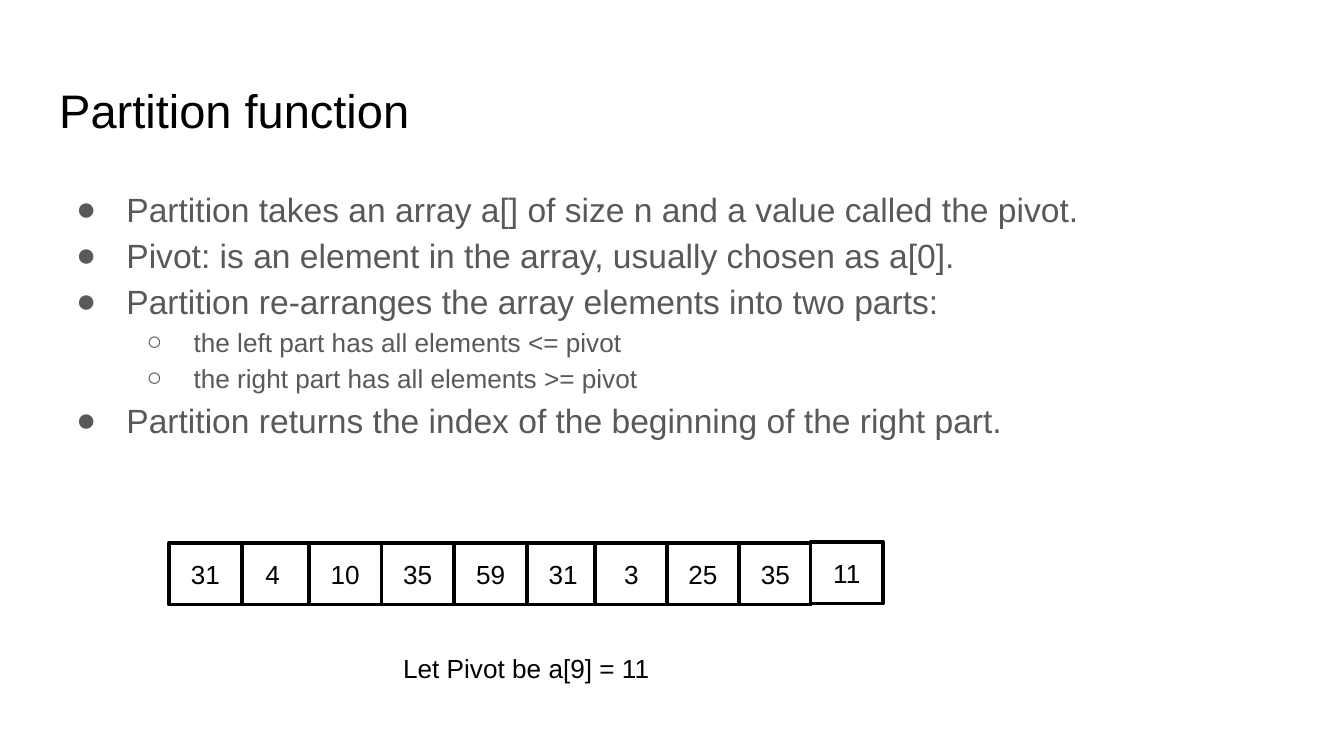
from dataclasses import dataclass

from lxml.etree import SubElement
from pptx import Presentation
from pptx.dml.color import RGBColor
from pptx.enum.shapes import MSO_SHAPE as Shape
from pptx.enum.text import MSO_ANCHOR as Anchor, PP_ALIGN as Align
from pptx.oxml.ns import qn
from pptx.util import Cm, Pt


@dataclass(frozen=True)
class Theme:
    font: str = "Arial"
    black: RGBColor = RGBColor(0, 0, 0)
    white: RGBColor = RGBColor(255, 255, 255)
    gray: RGBColor = RGBColor(0x59, 0x59, 0x59)
    title_size: float = 25.2
    body_size: float = 18
    small_size: float = 14
    line_width: float = 2


THEME = Theme()

BULLETS = [
    (0, "Partition takes an array a[] of size n and a value called the pivot."),
    (0, "Pivot: is an element in the array, usually chosen as a[0]."),
    (0, "Partition re-arranges the array elements into two parts:"),
    (1, "the left part has all elements <= pivot"),
    (1, "the right part has all elements >= pivot"),
    (0, "Partition returns the index of the beginning of the right part."),
]
# Bullet sign, left margin (cm), hanging indent (cm) and text size by level
LEVELS = [
    ("●", 1.27, 0.95, THEME.body_size),
    ("○", 2.54, 0.89, THEME.small_size),
]

CELL_WIDTH, CELL_HEIGHT = 1.37, 1.17
ARRAY_TOP, PIVOT_TOP = 10.26, 10.24
# Value and left edge (cm) of each array element
FIRST_CELL = ("31", 3.2)
INNER_CELLS = [
    ("4", 4.47), ("10", 5.84), ("35", 7.21), ("59", 8.59),
    ("31", 9.96), ("3", 11.25), ("25", 12.6), ("35", 13.97),
]
PIVOT_CELL = ("11", 15.32)


def style_runs(paragraph, size, color):
    for run in paragraph.runs:
        run.font.name = THEME.font
        run.font.size = Pt(size)
        run.font.color.rgb = color


def add_text_box(slide, left, top, width, height, wrap=True):
    box = slide.shapes.add_textbox(Cm(left), Cm(top), Cm(width), Cm(height))
    frame = box.text_frame
    frame.word_wrap = wrap
    frame.margin_left = frame.margin_right = Cm(0.25)
    frame.margin_top = frame.margin_bottom = Cm(0.25)
    return frame


def add_label(slide, text, size, *bounds, wrap=True):
    frame = add_text_box(slide, *bounds, wrap=wrap)
    frame.vertical_anchor = Anchor.MIDDLE
    frame.text = text
    style_runs(frame.paragraphs[0], size, THEME.black)


def set_bullet(paragraph, sign, margin, hanging):
    properties = paragraph._p.get_or_add_pPr()
    properties.set("marL", str(Cm(margin)))
    properties.set("indent", str(-Cm(hanging)))
    color = SubElement(properties, qn("a:buClr"))
    SubElement(color, qn("a:srgbClr"), val=str(THEME.gray))
    SubElement(properties, qn("a:buFont"), typeface=THEME.font)
    SubElement(properties, qn("a:buChar"), char=sign)


def add_bullet_list(slide, items, *bounds):
    frame = add_text_box(slide, *bounds)
    frame.text = "\n".join(text for _, text in items)
    for paragraph, (level, _) in zip(frame.paragraphs, items):
        sign, margin, hanging, size = LEVELS[level]
        paragraph.level = level
        set_bullet(paragraph, sign, margin, hanging)
        paragraph.line_spacing = 1.15
        style_runs(paragraph, size, THEME.gray)


def add_cell(slide, value, left, top=ARRAY_TOP):
    cell = slide.shapes.add_shape(
        Shape.RECTANGLE, Cm(left), Cm(top), Cm(CELL_WIDTH), Cm(CELL_HEIGHT))
    cell.shadow.inherit = False
    cell.fill.solid()
    cell.fill.fore_color.rgb = THEME.white
    cell.line.color.rgb = THEME.black
    cell.line.width = Pt(THEME.line_width)
    frame = cell.text_frame
    frame.vertical_anchor = Anchor.MIDDLE
    frame.text = value
    frame.paragraphs[0].alignment = Align.CENTER
    style_runs(frame.paragraphs[0], THEME.small_size, THEME.black)


def add_array(slide):
    """Draw the first cell over its neighbour, so that its right edge shows."""
    for value, left in [*INNER_CELLS, FIRST_CELL]:
        add_cell(slide, value, left)
    add_cell(slide, *PIVOT_CELL, top=PIVOT_TOP)


def main():
    presentation = Presentation()
    presentation.slide_width = Cm(25.4)
    presentation.slide_height = Cm(14.29)
    slide = presentation.slides.add_slide(presentation.slide_layouts[6])

    add_label(slide, "Partition function", THEME.title_size,
              0.87, 1.27, 23.67, 1.6)
    add_bullet_list(slide, BULLETS, 0.87, 3.2, 23.67, 9.5)
    add_array(slide)
    add_label(slide, "Let Pivot be a[9] = 11", THEME.small_size,
              7.37, 12.2, 5.23, 0.86, wrap=False)

    presentation.save("out.pptx")


if __name__ == "__main__":
    main()
